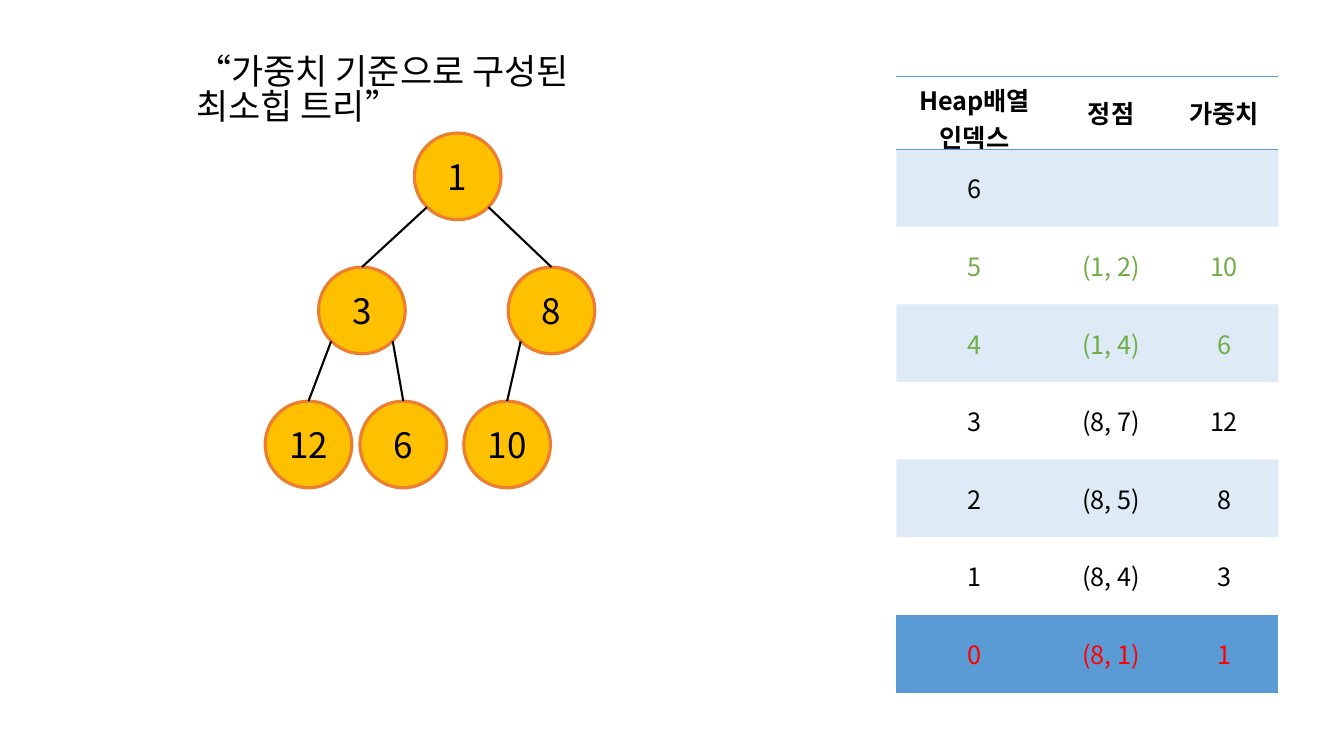
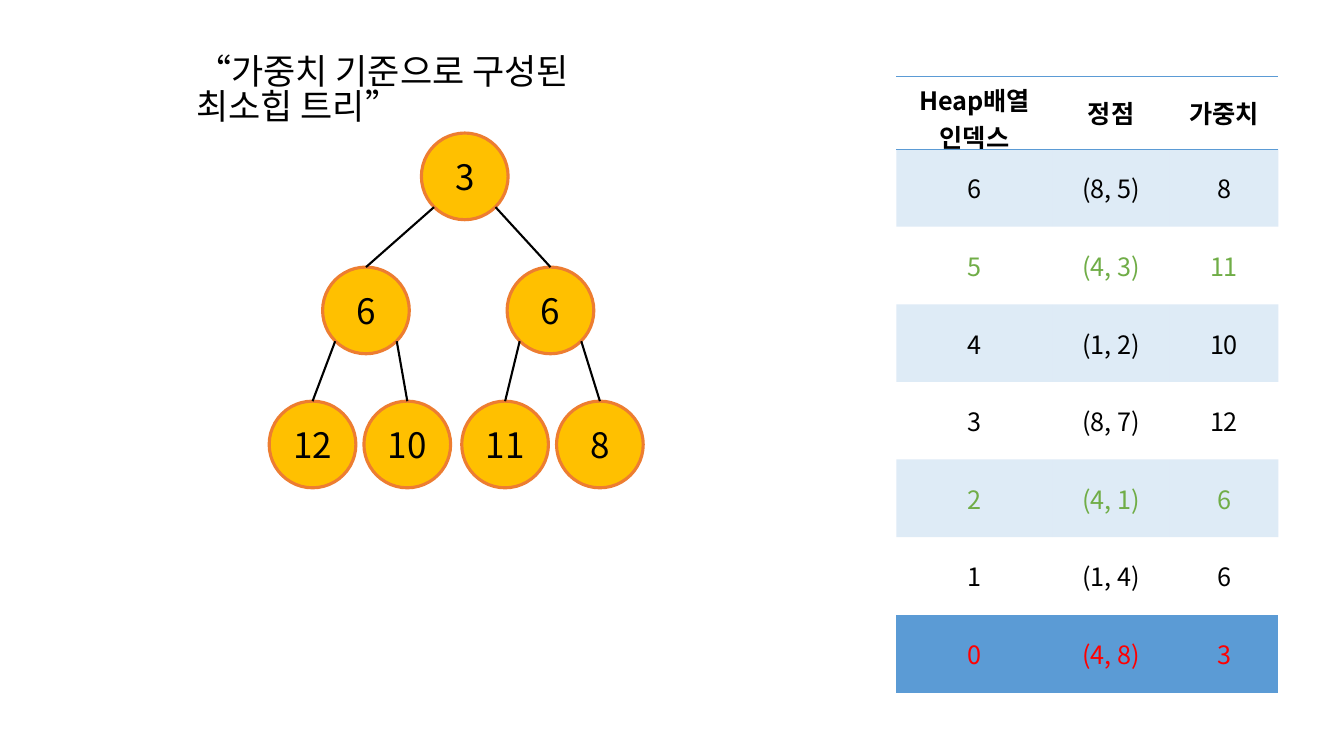
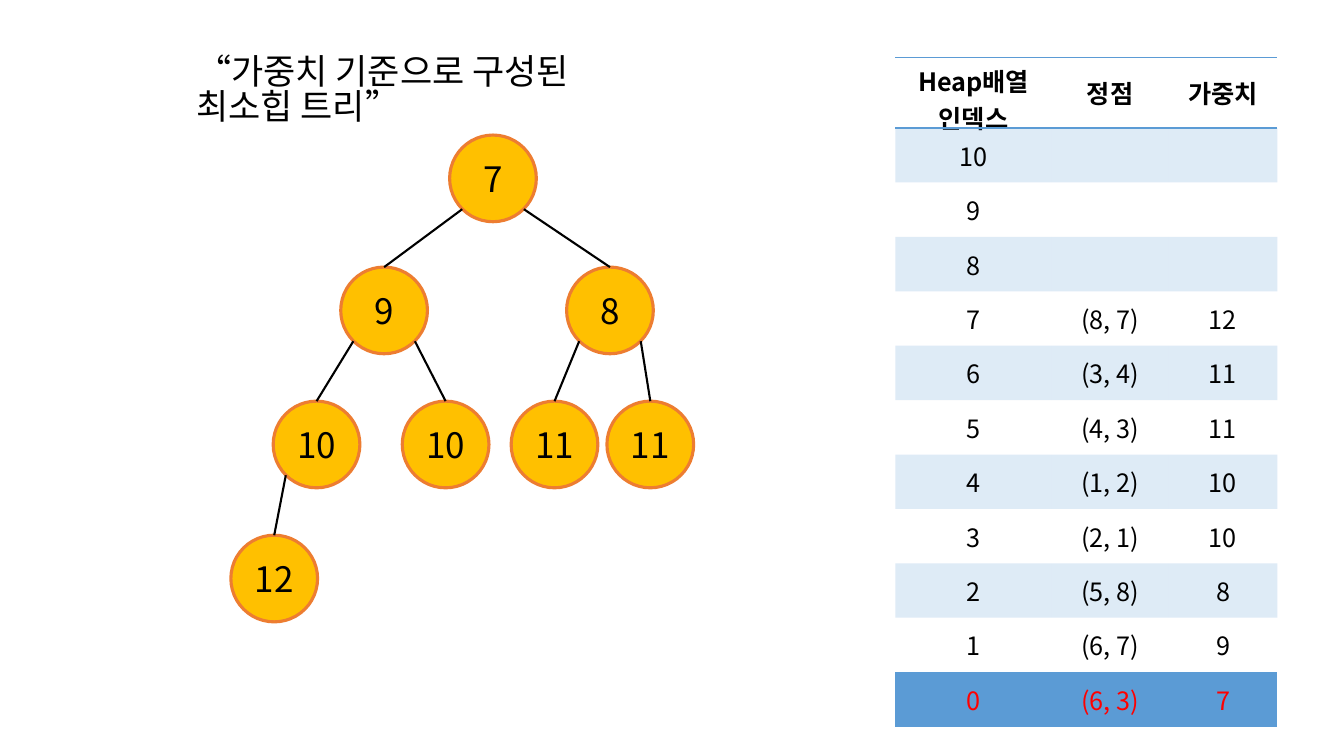
from lxml.etree import SubElement
from pptx import Presentation
from pptx.dml.color import RGBColor
from pptx.enum.shapes import MSO_CONNECTOR, MSO_SHAPE
from pptx.enum.text import MSO_ANCHOR, MSO_AUTO_SIZE, PP_ALIGN
from pptx.oxml import parse_xml
from pptx.oxml.ns import nsdecls, qn
from pptx.util import Inches, Pt

FONT = "Noto Sans CJK KR"
BLACK, RED, GREEN = "000000", "FF0000", "70AD47"
BLUE, AMBER, ORANGE = "5B9BD5", "FFC000", "ED7D31"
NO_STYLE = "{2D5ABB26-0587-4C30-8999-92F81FD0307C}"

TITLE = "“가중치 기준으로 구성된 최소힙 트리”"
HEADERS = ("Heap배열\n인덱스", "정점", "가중치")
COLUMN_WIDTHS = (1.55, 1.16, 1.08)

NODE_SIZE = 0.86
LEVEL_STEP = 1.33
DIAGONAL = NODE_SIZE / 2 * 0.71

# Heap entries by index: vertices of the edge, weight, left of the tree node
STEPS = [
    {
        "heap": [("(8, 1)", 1, 4.11), ("(8, 4)", 3, 3.16), ("(8, 5)", 8, 5.04),
                 ("(8, 7)", 12, 2.63), ("(1, 4)", 6, 3.57), ("(1, 2)", 10, 4.6)],
        "added": {4, 5}, "capacity": 7, "root_top": 1.32,
        "table_at": (8.89, 0.76), "row_heights": (0.72, 0.77),
    },
    {
        "heap": [("(4, 8)", 3, 4.18), ("(1, 4)", 6, 3.2), ("(4, 1)", 6, 5.03),
                 ("(8, 7)", 12, 2.67), ("(1, 2)", 10, 3.61), ("(4, 3)", 11, 4.58),
                 ("(8, 5)", 8, 5.52)],
        "added": {2, 5}, "capacity": 7, "root_top": 1.32,
        "table_at": (8.89, 0.76), "row_heights": (0.72, 0.77),
    },
    {
        "heap": [("(6, 3)", 7, 4.46), ("(6, 7)", 9, 3.38), ("(5, 8)", 8, 5.62),
                 ("(2, 1)", 10, 2.71), ("(1, 2)", 10, 3.99), ("(4, 3)", 11, 5.07),
                 ("(3, 4)", 11, 6.02), ("(8, 7)", 12, 2.29)],
        "added": set(), "capacity": 11, "root_top": 1.34,
        "table_at": (8.88, 0.57), "row_heights": (0.66, 0.54),
    },
]


def rgb(value):
    return RGBColor.from_string(value)


def add_run(paragraph, text, size, color=BLACK, bold=False):
    run = paragraph.add_run()
    run.text = text
    font = run.font
    font.size, font.bold, font.name = Pt(size), bold, FONT
    font.color.rgb = rgb(color)
    SubElement(run._r.get_or_add_rPr(), qn("a:ea"), typeface=FONT)


def write_title(slide):
    title = slide.shapes.title
    title.left, title.top = Inches(1.85), Inches(0.51)
    title.width, title.height = Inches(4.76), Inches(0.52)
    frame = title.text_frame
    frame.word_wrap = True
    frame.auto_size = MSO_AUTO_SIZE.SHAPE_TO_FIT_TEXT
    frame.vertical_anchor = MSO_ANCHOR.TOP
    paragraph = frame.paragraphs[0]
    paragraph.alignment = PP_ALIGN.LEFT
    paragraph.line_spacing = 0.83
    add_run(paragraph, TITLE, 25)


def add_border(cell, side):
    """Draw a thin blue rule; side is T or B, and B goes before T."""
    cell._tc.get_or_add_tcPr().insert(0, parse_xml(
        f'<a:ln{side} {nsdecls("a")} w="12700"><a:solidFill>'
        f'<a:srgbClr val="{BLUE}"/></a:solidFill></a:ln{side}>'))


def fill_cell(cell, text, color=BLACK, bold=False, banded=False):
    cell.vertical_anchor = MSO_ANCHOR.MIDDLE
    frame = cell.text_frame
    for number, line in enumerate(text.split("\n") if text else []):
        paragraph = frame.add_paragraph() if number else frame.paragraphs[0]
        paragraph.alignment = PP_ALIGN.CENTER
        add_run(paragraph, line, 18, color, bold)
    if banded:
        cell.fill.solid()
        cell.fill.fore_color.rgb = rgb(BLUE)
        tint = cell._tc.tcPr.find(".//" + qn("a:srgbClr"))
        SubElement(tint, qn("a:alpha"), val="20000")
    else:
        cell.fill.background()


def add_heap_table(slide, left, top, row_heights, heap, added, capacity):
    """List the heap array with index 0 in the bottom row."""
    header_height, row_height = row_heights
    table = slide.shapes.add_table(
        capacity + 1, len(HEADERS), Inches(left), Inches(top),
        Inches(sum(COLUMN_WIDTHS)),
        Inches(header_height + capacity * row_height)).table
    table.first_row = table.horz_banding = False
    table._tbl.tblPr.find(qn("a:tableStyleId")).text = NO_STYLE
    for column, width in zip(table.columns, COLUMN_WIDTHS):
        column.width = Inches(width)
    for number, row in enumerate(table.rows):
        row.height = Inches(row_height if number else header_height)

    for column, header in enumerate(HEADERS):
        cell = table.cell(0, column)
        fill_cell(cell, header, bold=True)
        add_border(cell, "B")
        add_border(cell, "T")
        add_border(table.cell(capacity, column), "B")

    for index in range(capacity):
        row = capacity - index
        vertices, weight = heap[index][:2] if index < len(heap) else ("", "")
        color = RED if index == 0 else GREEN if index in added else BLACK
        for column, value in enumerate((index, vertices, weight)):
            fill_cell(table.cell(row, column), str(value), color,
                      banded=row % 2 == 1)


def add_node(slide, left, top, weight):
    node = slide.shapes.add_shape(
        MSO_SHAPE.OVAL, Inches(left), Inches(top),
        Inches(NODE_SIZE), Inches(NODE_SIZE))
    node.shadow.inherit = False
    node.fill.solid()
    node.fill.fore_color.rgb = rgb(AMBER)
    node.line.color.rgb = rgb(ORANGE)
    node.line.width = Pt(2.25)
    frame = node.text_frame
    frame.vertical_anchor = MSO_ANCHOR.MIDDLE
    frame.paragraphs[0].alignment = PP_ALIGN.CENTER
    add_run(frame.paragraphs[0], str(weight), 25)
    return node


def add_branch(slide, parent, child, side):
    """Join the parent's lower diagonal (side -1 left, 1 right) to the child."""
    radius, offset = Inches(NODE_SIZE / 2), Inches(DIAGONAL)
    branch = slide.shapes.add_connector(
        MSO_CONNECTOR.STRAIGHT,
        parent.left + radius + side * offset, parent.top + radius + offset,
        child.left + radius, child.top)
    branch.end_connect(child, 0)
    branch.line.color.rgb = rgb(BLACK)
    branch.line.width = Pt(1.5)
    SubElement(branch._element.spPr, qn("a:effectLst"))


def add_heap_tree(slide, root_top, heap):
    nodes = []
    for index, (_, weight, left) in enumerate(heap):
        level = (index + 1).bit_length() - 1
        top = 1.32 + level * LEVEL_STEP if level else root_top
        node = add_node(slide, left, top, weight)
        if index:
            side = -1 if index % 2 else 1
            add_branch(slide, nodes[(index - 1) // 2], node, side)
        nodes.append(node)


def build_step(presentation, step):
    slide = presentation.slides.add_slide(presentation.slide_layouts[5])
    write_title(slide)
    add_heap_table(slide, *step["table_at"], step["row_heights"],
                   step["heap"], step["added"], step["capacity"])
    add_heap_tree(slide, step["root_top"], step["heap"])


def main():
    presentation = Presentation()
    presentation.slide_width = Inches(13.33)
    presentation.slide_height = Inches(7.5)
    for step in STEPS:
        build_step(presentation, step)
    presentation.save("out.pptx")


if __name__ == "__main__":
    main()
